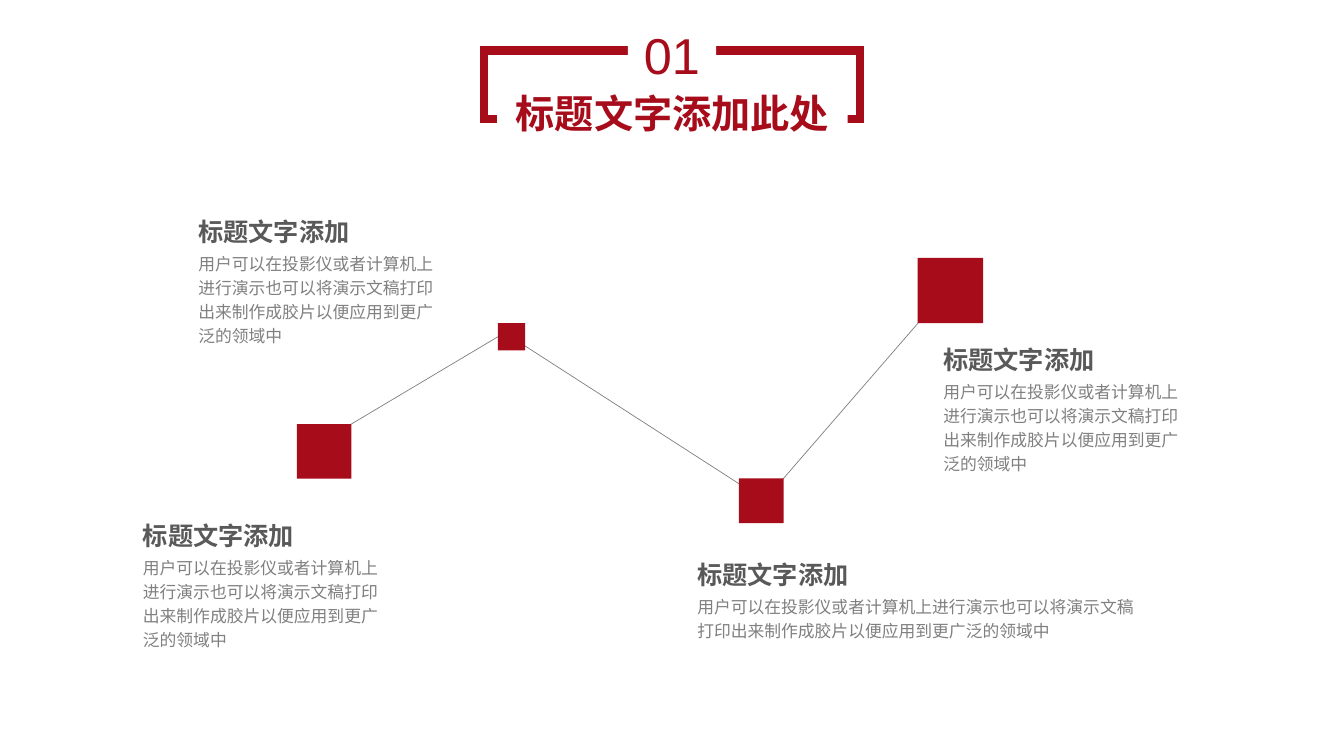
from pptx import Presentation
from pptx.dml.color import RGBColor
from pptx.enum.shapes import MSO_CONNECTOR, MSO_SHAPE
from pptx.enum.text import MSO_ANCHOR, MSO_AUTO_SIZE, PP_ALIGN
from pptx.oxml.ns import qn
from pptx.util import Pt
from lxml.etree import SubElement

COLORS = {"red": "A70C1B", "white": "FFFFFF", "heading": "595959", "gray": "808080"}
CJK_FONT = "Noto Sans CJK SC"
FORMATS = {
    "number": {"name": "Arial", "size": Pt(36), "bold": False},
    "title": {"name": "Arial", "size": Pt(28), "bold": True},
    "heading": {"name": CJK_FONT, "size": Pt(18), "bold": True},
    "body": {"name": CJK_FONT, "size": Pt(12), "bold": False},
}
HEADING = "标题文字添加"
BODY = "用户可以在投影仪或者计算机上进行演示也可以将演示文稿打印出来制作成胶片以便应用到更广泛的领域中"

# Square (left, top, side), then text (left, top, body width, body height)
MILESTONES = [
    ((212, 303, 39), (95, 364, 193, 75.6)),
    ((355.6, 230.8, 19.5), (134.6, 146.9, 193, 75.6)),
    ((527.7, 341.7, 32), (491, 391.8, 329, 42.5)),
    ((655.5, 184.2, 46.7), (666.7, 238.4, 193, 75.6)),
]
LINKS = [
    ((250.8, 303), (355.6, 240.6)),
    ((371.5, 244.8), (531.4, 347.8)),
    ((554.4, 347.8), (666.7, 218.2)),
]


def color(name):
    return RGBColor.from_string(COLORS[name])


class RoadmapSlide:
    def __init__(self, slide):
        self.slide = slide
        self.shapes = slide.shapes

    def square(self, left, top, width, height, fill="red"):
        block = self.shapes.add_shape(
            MSO_SHAPE.RECTANGLE, Pt(left), Pt(top), Pt(width), Pt(height))
        block.shadow.inherit = False
        block.fill.solid()
        block.fill.fore_color.rgb = color(fill)
        block.line.fill.background()
        return block

    def frame(self, left, top, width, height):
        border = self.square(left, top, width, height)
        border.fill.background()
        border.line.color.rgb = color("red")
        border.line.width = Pt(6)
        SubElement(border.element.spPr.get_or_add_ln(), qn("a:miter"), lim="800000")

    def link(self, start, end):
        line = self.shapes.add_connector(
            MSO_CONNECTOR.STRAIGHT, *(Pt(value) for value in start + end))
        line.line.color.rgb = color("gray")
        line.line.width = Pt(0.5)
        SubElement(line.element.spPr, qn("a:effectLst"))

    def label(self, shape, text, style, tint, align=PP_ALIGN.LEFT,
              anchor=MSO_ANCHOR.TOP, spacing=1.2):
        frame = shape.text_frame
        layout = {"word_wrap": True, "auto_size": MSO_AUTO_SIZE.NONE,
                  "vertical_anchor": anchor}
        for key, value in layout.items():
            setattr(frame, key, value)
        paragraph = frame.paragraphs[0]
        paragraph.alignment = align
        paragraph.line_spacing = spacing
        run = paragraph.add_run()
        run.text = text
        for key, value in FORMATS[style].items():
            setattr(run.font, key, value)
        run.font.color.rgb = color(tint)
        for properties in shape.element.iter(qn("a:rPr")):
            SubElement(properties, qn("a:ea"), typeface=CJK_FONT)

    def centered(self, shape, text, style):
        self.label(shape, text, style, "red", PP_ALIGN.CENTER, MSO_ANCHOR.MIDDLE, 1.0)

    def title(self, text, **place):
        """Move the title above the frame, so that its fill interrupts the border."""
        title = self.shapes.title
        for key, value in place.items():
            setattr(title, key, Pt(value))
        title.fill.solid()
        title.fill.fore_color.rgb = color("white")
        self.centered(title, text, "title")
        self.shapes.element.append(title.element)

    def text(self, left, top, width, height, words, style, tint):
        box = self.shapes.add_textbox(Pt(left), Pt(top), Pt(width), Pt(height))
        self.label(box, words, style, tint)

    def caption(self, left, top, width, height):
        self.text(left, top + 27.8, width, height, BODY, "body", "gray")
        self.text(left, top, 176.4, 31, HEADING, "heading", "heading")


def main():
    deck = Presentation()
    deck.slide_width, deck.slide_height = Pt(960), Pt(540)
    page = RoadmapSlide(deck.slides.add_slide(deck.slide_layouts[5]))

    page.frame(345.6, 36, 268.8, 49)
    number = page.square(448.5, 13, 63, 51, "white")
    page.centered(number, "01", "number")
    page.title("标题文字添加此处", left=355, top=59.8, width=250.5, height=41)

    for start, end in LINKS:
        page.link(start, end)
    for (left, top, side), caption in MILESTONES:
        page.square(left, top, side, side)
        page.caption(*caption)

    deck.save("out.pptx")


if __name__ == "__main__":
    main()
